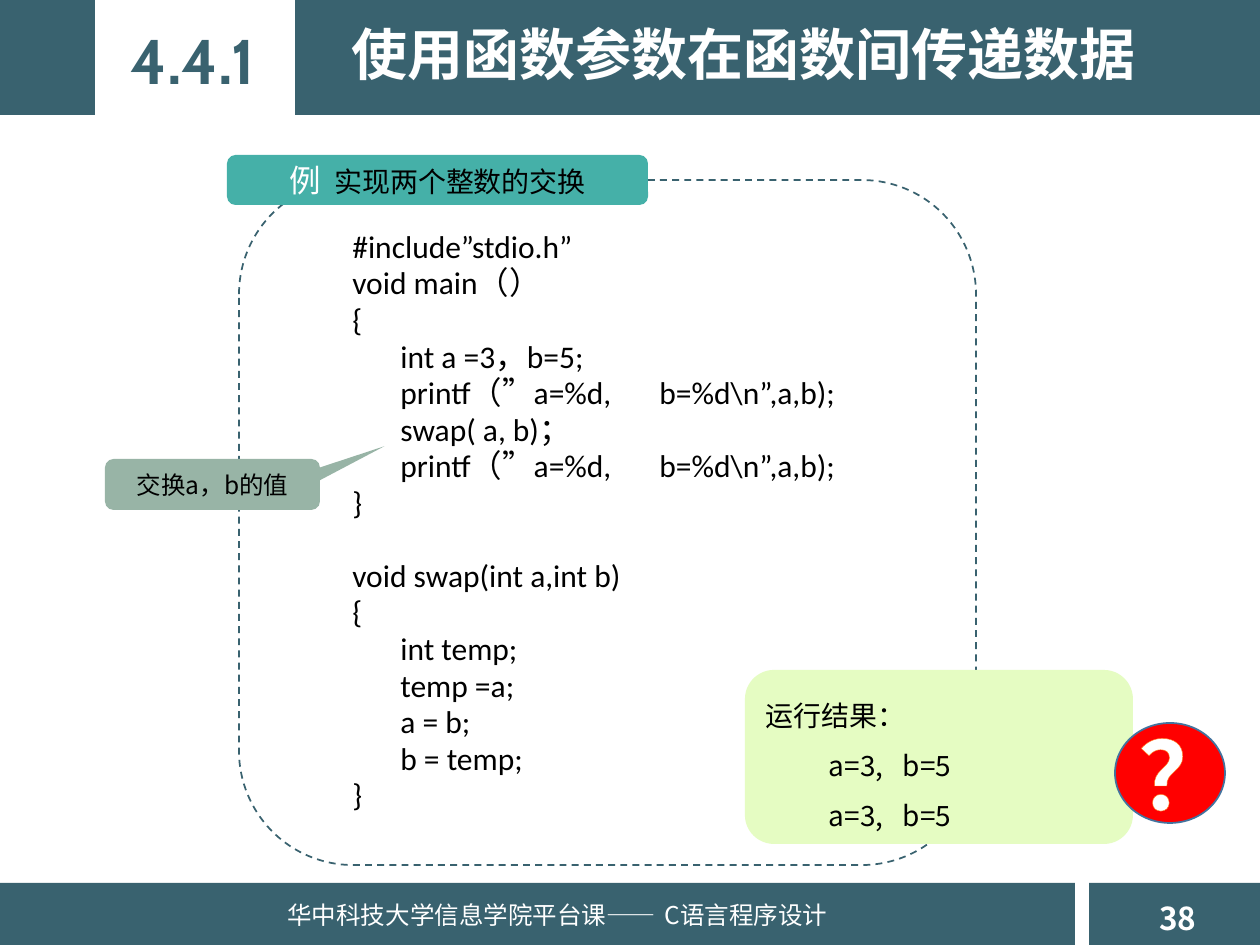
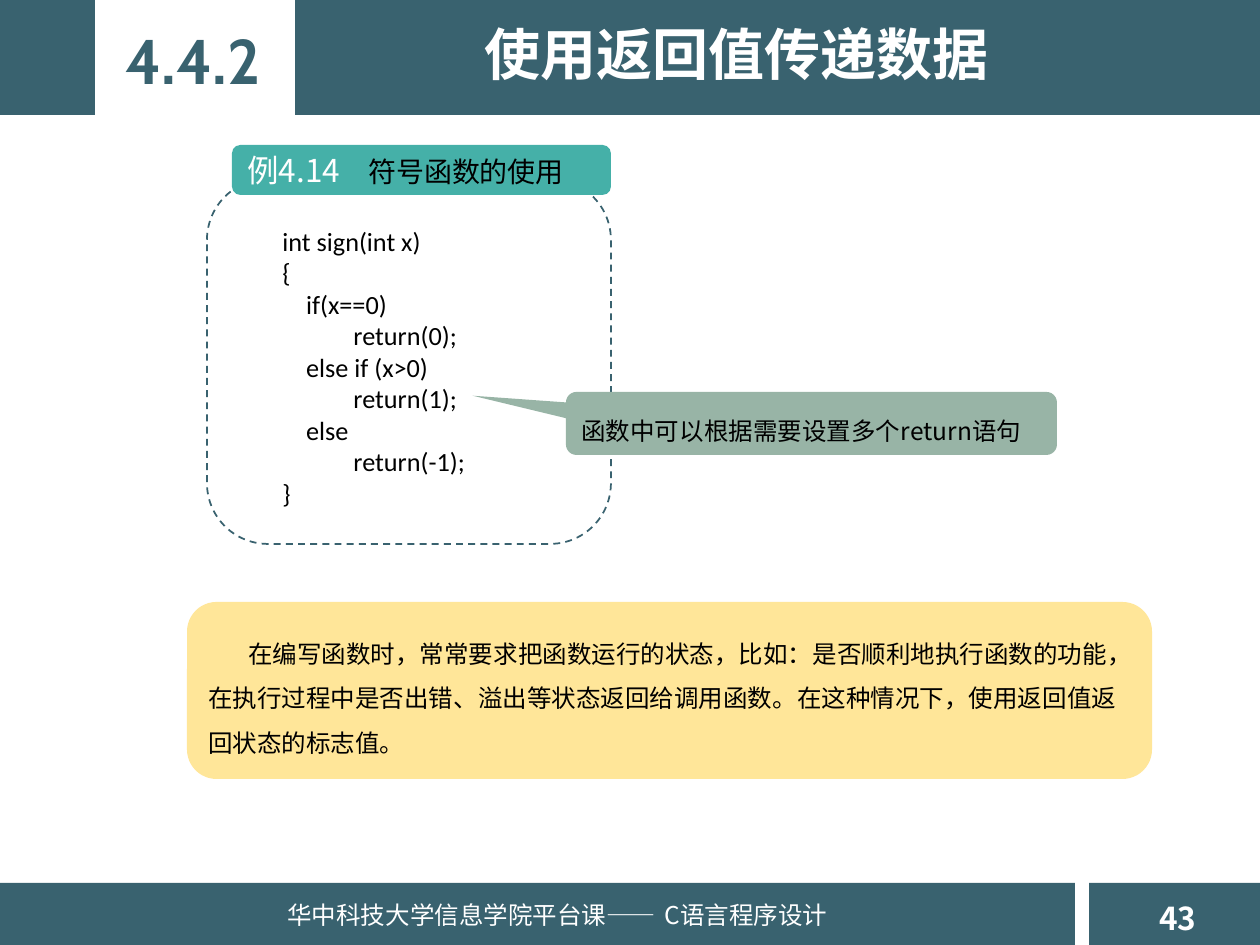
from dataclasses import dataclass

from lxml import etree
from pptx import Presentation
from pptx.dml.color import RGBColor
from pptx.enum.dml import MSO_LINE
from pptx.enum.shapes import MSO_SHAPE
from pptx.enum.text import MSO_ANCHOR, PP_ALIGN
from pptx.oxml.ns import qn
from pptx.util import Emu, Pt

RECT = MSO_SHAPE.RECTANGLE
ROUNDED = MSO_SHAPE.ROUNDED_RECTANGLE
CALLOUT = MSO_SHAPE.ROUNDED_RECTANGULAR_CALLOUT
OVAL = MSO_SHAPE.OVAL
DASH = MSO_LINE.DASH
LEFT, CENTER = PP_ALIGN.LEFT, PP_ALIGN.CENTER
TOP, MIDDLE = MSO_ANCHOR.TOP, MSO_ANCHOR.MIDDLE
PX = 914400 / 126


@dataclass(frozen=True)
class Theme:
    slate: str = "39626F"
    teal: str = "45B0A8"
    sage: str = "98B4A6"
    lime: str = "E5FCC2"
    sand: str = "FFE699"
    red: str = "FF0000"
    blue: str = "43739E"
    orange: str = "FF7A1F"
    white: str = "FFFFFF"
    black: str = "000000"
    body_font: str = "Noto Sans CJK SC"
    code_font: str = "Calibri"
    number_font: str = "Cabin"
    mark_size: int = 54
    number_size: int = 36
    title_size: int = 32
    lead_size: int = 18
    text_size: int = 16
    note_size: int = 14
    small_code_size: int = 15


theme = Theme()


def add_box(page, kind, at, fill=None, line=None):
    left, top, width, height = [Emu(round(value * PX)) for value in at]
    if kind is None:
        return page.shapes.add_textbox(left, top, width, height)
    box = page.shapes.add_shape(kind, left, top, width, height)
    box.shadow.inherit = False
    if fill:
        box.fill.solid()
        box.fill.fore_color.rgb = RGBColor.from_string(fill)
    else:
        box.fill.background()
    if line:
        box.line.color.rgb = RGBColor.from_string(line)
        box.line.width = Pt(1)
    else:
        box.line.fill.background()
    return box


def write(box, lines, size, color=theme.black, font=theme.body_font, bold=False,
          align=LEFT, anchor=MIDDLE, tabs=(), lead="", indent=0, spacing=None):
    frame = box.text_frame
    frame.word_wrap = True
    frame.vertical_anchor = anchor
    frame.text = lead or lines[0]
    if lead:
        frame.paragraphs[0].add_run().text = lines[0]
    for line in lines[1:]:
        frame.add_paragraph().text = line
    for para in frame.paragraphs:
        para.alignment = align
        if spacing:
            para.line_spacing = spacing
        properties = para._p.get_or_add_pPr()
        if indent:
            properties.set("indent", str(round(indent * PX)))
        if tabs:
            stops = etree.SubElement(properties, qn("a:tabLst"))
            for stop in tabs:
                etree.SubElement(stops, qn("a:tab"), pos=str(round(stop * PX)), algn="l")
        for span in para.runs:
            span.font.name = font
            span.font.size = Pt(size)
            span.font.bold = bold
            span.font.color.rgb = RGBColor.from_string(color)
            etree.SubElement(span._r.get_or_add_rPr(), qn("a:ea"), typeface=theme.body_font)
    if lead:
        span = frame.paragraphs[0].runs[0]
        span.font.size = Pt(theme.lead_size)
        span.font.color.rgb = RGBColor.from_string(theme.white)


swap_code = r"""#include”stdio.h”
void main（）
{
	int a =3，b=5;
	printf（”a=%d,	 b=%d\n”,a,b);
	swap( a, b)；
	printf（”a=%d,	 b=%d\n”,a,b);
}
void swap(int a,int b)
{
	int temp;
	temp =a;
	a = b;
	b = temp;
}""".split("\n")

sign_code = """int sign(int x)
{
    if(x==0)
            return(0);
    else if (x>0)
            return(1);
    else
            return(-1);
}""".split("\n")

lessons = [
    dict(section="4.4.1", title="使用函数参数在函数间传递数据", title_left=307, title_width=873,
         number="38", frame=(239, 180, 737, 685), label=(227, 155, 421, 50), inset=60,
         lead="例\t", example="实现两个整数的交换", stop=45,
         code=swap_code, code_at=(340, 228, 616, 616), code_size=theme.lead_size,
         code_tabs=(48, 300), code_spacing=0.8,
         note="交换a，b的值", note_at=(105, 459, 215, 51), tip=(0.8, -0.75),
         note_align=CENTER, note_spacing=None),
    dict(section="4.4.2", title="使用返回值传递数据", title_left=270, title_width=933,
         number="43", frame=(207, 179, 404, 365), label=(232, 145, 379, 50), inset=13,
         lead="例4.14\t", example="符号函数的使用", stop=121,
         code=sign_code, code_at=(270, 219, 296, 299), code_size=theme.small_code_size,
         code_tabs=(), code_spacing=None,
         note="函数中可以根据需要设置多个return语句", note_at=(566, 392, 491, 63),
         tip=(-0.69, -0.44), note_align=LEFT, note_spacing=Pt(25.6)),
]

deck = Presentation()
deck.slide_width = Emu(round(1260 * PX))
deck.slide_height = Emu(round(945 * PX))
layout = deck.slide_layouts[5]
pages = [deck.slides.add_slide(layout) for lesson in lessons]

bands = [add_box(pages[0], RECT, at, theme.slate) for at in (
    (0, 0, 95, 115), (295, 0, 965, 115), (0, 883, 1075, 62), (1089, 883, 171, 62))]
footer = add_box(pages[0], None, (275, 893, 640, 43))
write(footer, ["华中科技大学信息学院平台课——\tC语言程序设计"], theme.note_size, theme.white, tabs=(377,))
for index, shared in enumerate(bands + [footer], start=20):
    shared.element.nvSpPr.cNvPr.set("id", str(index))
    layout.element.cSld.spTree.append(shared.element)

for page, lesson in zip(pages, lessons):
    title = page.shapes.title
    title.left, title.top, title.width, title.height = [
        Emu(round(value * PX)) for value in (lesson["title_left"], 13, lesson["title_width"], 81)]
    write(title, [lesson["title"]], theme.title_size, theme.white, bold=True, align=CENTER)

    section = add_box(page, None, (108, 15, 170, 89))
    section.text_frame.margin_left = section.text_frame.margin_right = 0
    write(section, [lesson["section"]], theme.number_size, theme.slate,
          theme.number_font, bold=True, align=CENTER)

    page_number = add_box(page, None, (1147, 893, 80, 50))
    write(page_number, [lesson["number"]], theme.lead_size, theme.white, bold=True)

    code_frame = add_box(page, ROUNDED, lesson["frame"], line=theme.slate)
    code_frame.line.dash_style = DASH

    label = add_box(page, ROUNDED, lesson["label"], theme.teal)
    label.text_frame.margin_left = Emu(round(lesson["inset"] * PX))
    write(label, [lesson["example"]], theme.text_size, lead=lesson["lead"], tabs=(lesson["stop"],))

    code = add_box(page, None, lesson["code_at"])
    write(code, lesson["code"], lesson["code_size"], font=theme.code_font, anchor=TOP,
          tabs=lesson["code_tabs"], spacing=lesson["code_spacing"])
    if lesson["code_spacing"]:
        for para in code.text_frame.paragraphs[1:]:
            para.space_before = Pt(24.5 if para.text.startswith("void swap") else 3.6)

    note = add_box(page, CALLOUT, lesson["note_at"], theme.sage)
    note.adjustments[0], note.adjustments[1] = lesson["tip"]
    write(note, [lesson["note"]], theme.note_size, align=lesson["note_align"],
          spacing=lesson["note_spacing"])

swap_page, sign_page = pages

output = add_box(swap_page, ROUNDED, (745, 670, 388, 174), theme.lime)
write(output, ["运行结果："] + ["\ta=3,\tb=5"] * 2, theme.text_size, tabs=(63, 137), spacing=Pt(28.6))

add_box(swap_page, OVAL, (1115, 723, 110, 100), theme.red, theme.blue)
question = add_box(swap_page, None, (1125, 709, 121, 127))
write(question, ["？"], theme.mark_size, theme.white, theme.code_font, bold=True, align=CENTER)
span = question.text_frame.paragraphs[0].runs[0]
outline = etree.Element(qn("a:ln"), w=str(Pt(1.42)))
outline_fill = etree.SubElement(outline, qn("a:solidFill"))
etree.SubElement(outline_fill, qn("a:srgbClr"), val=theme.orange)
span._r.get_or_add_rPr().insert(0, outline)

summary = add_box(sign_page, ROUNDED, (187, 602, 965, 177), theme.sand)
write(summary, ["在编写函数时，常常要求把函数运行的状态，比如：是否顺利地执行函数的功能，"
                "在执行过程中是否出错、溢出等状态返回给调用函数。在这种情况下，"
                "使用返回值返回状态的标志值。"],
      theme.note_size, indent=40, spacing=Pt(25.6))

deck.save("out.pptx")
